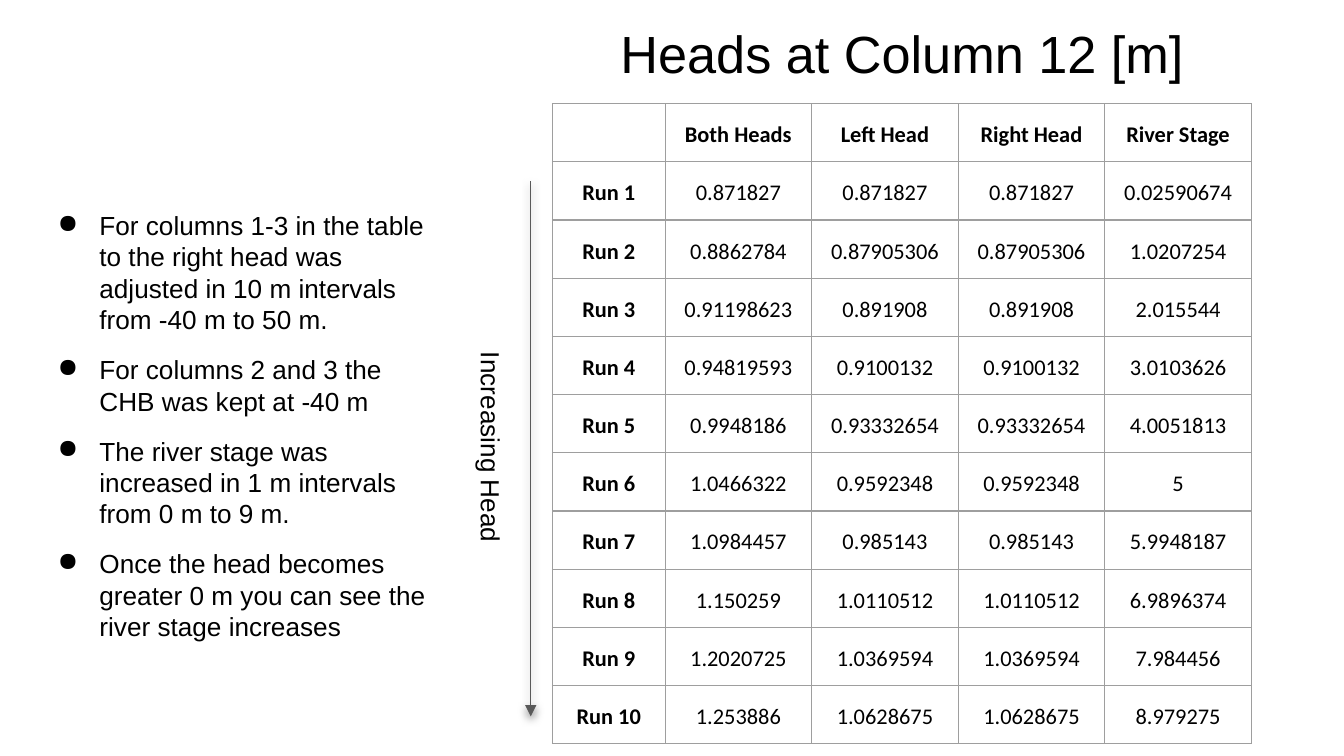
import dataclasses

import pptx
import pptx.dml.color
import pptx.enum.shapes
import pptx.enum.text
import pptx.oxml
import pptx.oxml.ns
import pptx.util

Cm = pptx.util.Cm
Pt = pptx.util.Pt
ALIGN = pptx.enum.text.PP_ALIGN
ANCHOR = pptx.enum.text.MSO_ANCHOR
NAMESPACE = pptx.oxml.ns.nsdecls("a")


@dataclasses.dataclass(frozen=True)
class Theme:
    ink: str = "000000"
    grid: str = "9E9E9E"
    arrow: str = "595959"
    sans: str = "Arial"
    table_font: str = "Calibri"
    title_size: int = 28
    body_size: int = 14
    table_size: int = 12
    line_width: float = 0.75


THEME = Theme()

HEADINGS = ["", "Both Heads", "Left Head", "Right Head", "River Stage"]
RUNS = [
    ("0.871827", "0.871827", "0.871827", "0.02590674"),
    ("0.8862784", "0.87905306", "0.87905306", "1.0207254"),
    ("0.91198623", "0.891908", "0.891908", "2.015544"),
    ("0.94819593", "0.9100132", "0.9100132", "3.0103626"),
    ("0.9948186", "0.93332654", "0.93332654", "4.0051813"),
    ("1.0466322", "0.9592348", "0.9592348", "5"),
    ("1.0984457", "0.985143", "0.985143", "5.9948187"),
    ("1.150259", "1.0110512", "1.0110512", "6.9896374"),
    ("1.2020725", "1.0369594", "1.0369594", "7.984456"),
    ("1.253886", "1.0628675", "1.0628675", "8.979275"),
]
NOTES = [
    "For columns 1-3 in the table to the right head was adjusted in 10 m intervals from -40 m to 50 m.",
    "For columns 2 and 3 the CHB was kept at -40 m",
    "The river stage was increased in 1 m intervals from 0 m to 9 m.",
    "Once the head becomes greater 0 m you can see the river stage increases",
]


def write(para, text, *, size, font=THEME.sans, bold=False, align=ALIGN.LEFT,
          spacing=None, before=0, after=0):
    para.alignment = align
    para.line_spacing = spacing
    para.space_before = Pt(before)
    para.space_after = Pt(after)
    span = para.add_run()
    span.text = text
    span.font.size = Pt(size)
    span.font.name = font
    span.font.bold = bold
    span.font.color.rgb = pptx.dml.color.RGBColor.from_string(THEME.ink)


def add_text_box(page, box):
    shape = page.shapes.add_textbox(*box)
    frame = shape.text_frame
    frame.word_wrap = True
    frame.margin_left = frame.margin_right = Cm(0.25)
    frame.margin_top = frame.margin_bottom = Cm(0.25)
    return shape


def add_title(page, box):
    shape = add_text_box(page, box)
    write(shape.text_frame.paragraphs[0], "Heads at Column 12 [m]",
          size=THEME.title_size, align=ALIGN.CENTER)


def add_bullet(para):
    properties = para._p.get_or_add_pPr()
    properties.set("marL", str(Cm(0.79)))
    properties.set("indent", str(Cm(-0.89)))
    for markup in (
        f'<a:buClr {NAMESPACE}><a:srgbClr val="{THEME.ink}"/></a:buClr>',
        f'<a:buChar {NAMESPACE} char="●"/>',
    ):
        properties.append(pptx.oxml.parse_xml(markup))


def add_notes(page, box):
    frame = add_text_box(page, box).text_frame
    for index, note in enumerate(NOTES):
        para = frame.add_paragraph() if index else frame.paragraphs[0]
        write(para, note, size=THEME.body_size, before=10 if index else 0,
              after=10 if note == NOTES[-1] else 0)
        add_bullet(para)


def add_borders(cell):
    properties = cell._tc.get_or_add_tcPr()
    for index, side in enumerate(("lnL", "lnR", "lnT", "lnB")):
        properties.insert(index, pptx.oxml.parse_xml(
            f'<a:{side} {NAMESPACE} w="{Pt(THEME.line_width)}"><a:solidFill>'
            f'<a:srgbClr val="{THEME.grid}"/></a:solidFill></a:{side}>'))


def add_heads_table(page, box):
    rows = [HEADINGS] + [(f"Run {number}", *values)
                         for number, values in enumerate(RUNS, 1)]
    left, top, width, height = box
    label_width = Cm(2.13)
    table = page.shapes.add_table(len(rows), len(HEADINGS), *box).table
    table.first_row = table.horz_banding = False
    for index, column in enumerate(table.columns):
        column.width = (width - label_width) // (len(HEADINGS) - 1) if index else label_width
    for row_index, values in enumerate(rows):
        table.rows[row_index].height = height // len(rows)
        for column_index, value in enumerate(values):
            cell = table.cell(row_index, column_index)
            cell.fill.background()
            add_borders(cell)
            cell.vertical_anchor = ANCHOR.BOTTOM
            cell.margin_left = cell.margin_right = cell.margin_top = Cm(0.03)
            cell.margin_bottom = Cm(0.25)
            if value:
                label = row_index == 0 or column_index == 0
                write(cell.text_frame.paragraphs[0], value, size=THEME.table_size,
                      font=THEME.table_font, bold=label, align=ALIGN.CENTER,
                      spacing=None if label else 1.15)


def add_head_arrow(page, box):
    left, top, width, height = box
    right = left + width
    arrow = page.shapes.add_connector(
        pptx.enum.shapes.MSO_CONNECTOR.STRAIGHT, right, top, right, top + height)
    arrow.line.color.rgb = pptx.dml.color.RGBColor.from_string(THEME.arrow)
    arrow.line.width = Pt(THEME.line_width)
    arrow.line._get_or_add_ln().append(
        pptx.oxml.parse_xml(f'<a:tailEnd {NAMESPACE} type="triangle"/>'))
    arrow._element.spPr.append(pptx.oxml.parse_xml(
        f'<a:effectLst {NAMESPACE}><a:outerShdw blurRad="{Pt(4.5)}" dist="{Pt(1.5)}" '
        f'dir="5400000" algn="bl" rotWithShape="0"><a:srgbClr val="{THEME.ink}">'
        '<a:alpha val="50000"/></a:srgbClr></a:outerShdw></a:effectLst>'))

    label_width, label_height = Cm(4.17), Cm(1.17)
    center_x = left + label_height // 2
    center_y = top + height // 2
    label = add_text_box(page, (center_x - label_width // 2, center_y - label_height // 2,
                                label_width, label_height))
    label.rotation = 90
    write(label.text_frame.paragraphs[0], "Increasing Head", size=THEME.body_size)


def main():
    deck = pptx.Presentation()
    deck.slide_width, deck.slide_height = Cm(25.4), Cm(14.29)
    page = deck.slides.add_slide(deck.slide_layouts[6])
    add_title(page, (Cm(10.44), Cm(0.15), Cm(13.21), Cm(1.6)))
    add_heads_table(page, (Cm(10.44), Cm(1.96), Cm(13.21), Cm(12.1)))
    add_head_arrow(page, (Cm(8.66), Cm(3.43), Cm(1.37), Cm(10.11)))
    add_notes(page, (Cm(0.84), Cm(3.71), Cm(7.49), Cm(8.59)))
    deck.save("out.pptx")


if __name__ == "__main__":
    main()
